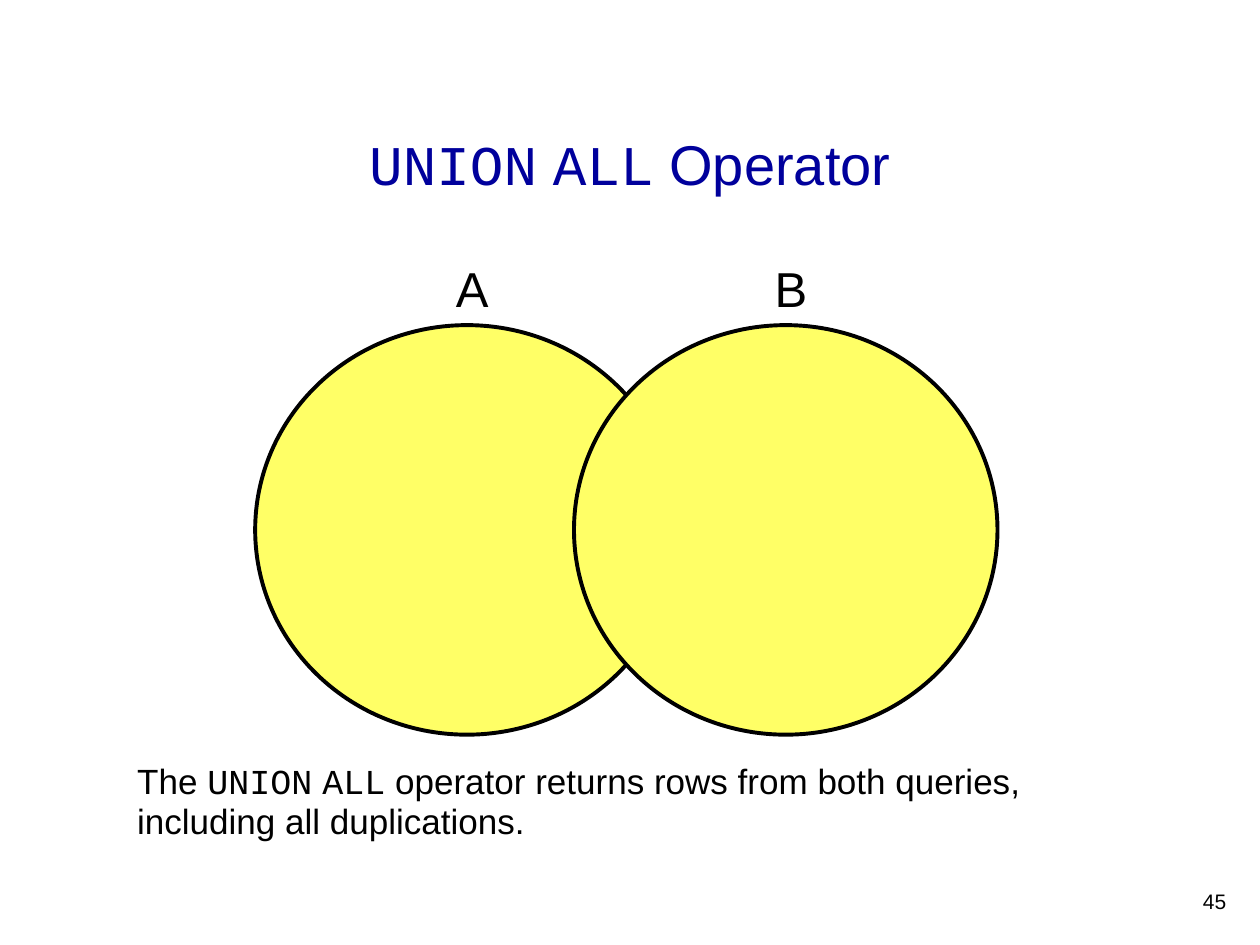
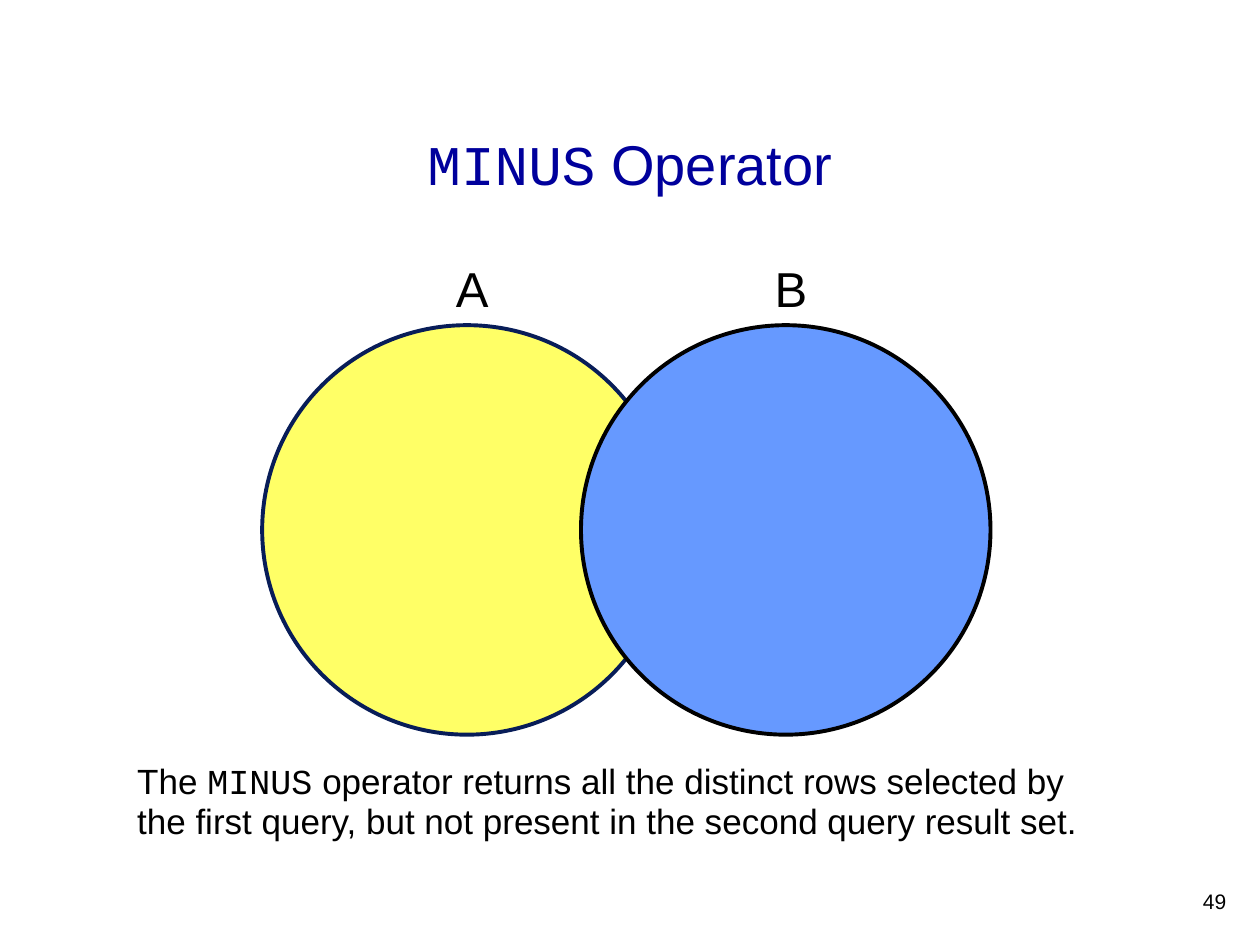
from pptx import Presentation
from pptx.dml.color import RGBColor
from pptx.enum import shapes, text
from pptx.util import Pt

BLACK = RGBColor(0x00, 0x00, 0x00)
TITLE_BLUE = RGBColor(0x00, 0x00, 0x9C)
NAVY = RGBColor(0x08, 0x1D, 0x58)
YELLOW = RGBColor(0xFF, 0xFF, 0x66)
BLUE = RGBColor(0x66, 0x99, 0xFF)

BODY_FONT = "Arial"
CODE_FONT = "Courier New"

# Venn diagram geometry, in points
SET_CENTERS = {"A": 266.8, "B": 449}
SET_TOP, SET_HEIGHT = 185.8, 234
LABEL_TOP, LABEL_OFFSET = 144, 13.4


def write(para, marked_text, size, color):
    """Write text into a paragraph; parts between backticks use the code font."""
    for index, part in enumerate(marked_text.split("`")):
        if part:
            span = para.add_run()
            span.text = part
            span.font.name = CODE_FONT if index % 2 else BODY_FONT
            span.font.size = Pt(size)
            span.font.color.rgb = color


def add_text(page, marked_text, left, top, width, height, size, wrap=True):
    box = page.shapes.add_textbox(Pt(left), Pt(top), Pt(width), Pt(height))
    frame = box.text_frame
    frame.word_wrap = wrap
    frame.auto_size = text.MSO_AUTO_SIZE.SHAPE_TO_FIT_TEXT
    para = frame.paragraphs[0]
    write(para, marked_text, size, BLACK)
    return para


def add_title(page, marked_text):
    title = page.shapes.title
    title.left, title.top = Pt(54), Pt(48.2)
    title.width, title.height = Pt(612), Pt(90)
    title.text_frame.vertical_anchor = text.MSO_ANCHOR.MIDDLE
    para = title.text_frame.paragraphs[0]
    para.alignment = text.PP_ALIGN.CENTER
    write(para, marked_text, 32, TITLE_BLUE)


def add_set(page, name, width, fill, outline):
    """Draw one set of the Venn diagram with its letter above."""
    center = SET_CENTERS[name]
    oval = page.shapes.add_shape(
        shapes.MSO_SHAPE.OVAL,
        Pt(center - width / 2), Pt(SET_TOP), Pt(width), Pt(SET_HEIGHT))
    oval.shadow.inherit = False
    oval.fill.solid()
    oval.fill.fore_color.rgb = fill
    oval.line.color.rgb = outline
    oval.line.width = Pt(2.25)
    add_text(page, name, center - LABEL_OFFSET, LABEL_TOP, 27.4, 28.8, 28, wrap=False)


def add_operator_page(deck, title, note, number, set_width, set_colors):
    page = deck.slides.add_slide(deck.slide_layouts[5])
    add_title(page, title)

    # Venn diagram: fill and outline for each set
    for name, (fill, outline) in zip(SET_CENTERS, set_colors):
        add_set(page, name, set_width, fill, outline)

    # Explanation and page number
    add_text(page, note, 71.3, 432, 572.4, 53.3, 20).line_spacing = 0.95
    add_text(page, number, 666, 504, 41.8, 21.6, 12).alignment = text.PP_ALIGN.RIGHT


def main():
    deck = Presentation()
    deck.slide_width, deck.slide_height = Pt(720), Pt(540)

    add_operator_page(
        deck, "`UNION` `ALL` Operator",
        "The `UNION` `ALL` operator returns rows from both queries, "
        "including all duplications.",
        "45", 242, [(YELLOW, BLACK), (YELLOW, BLACK)])
    add_operator_page(
        deck, "`MINUS` Operator",
        "The `MINUS` operator returns all the distinct rows selected by "
        "the first query, but not present in the second query result set.",
        "49", 234, [(YELLOW, NAVY), (BLUE, BLACK)])

    deck.save("out.pptx")


if __name__ == "__main__":
    main()
